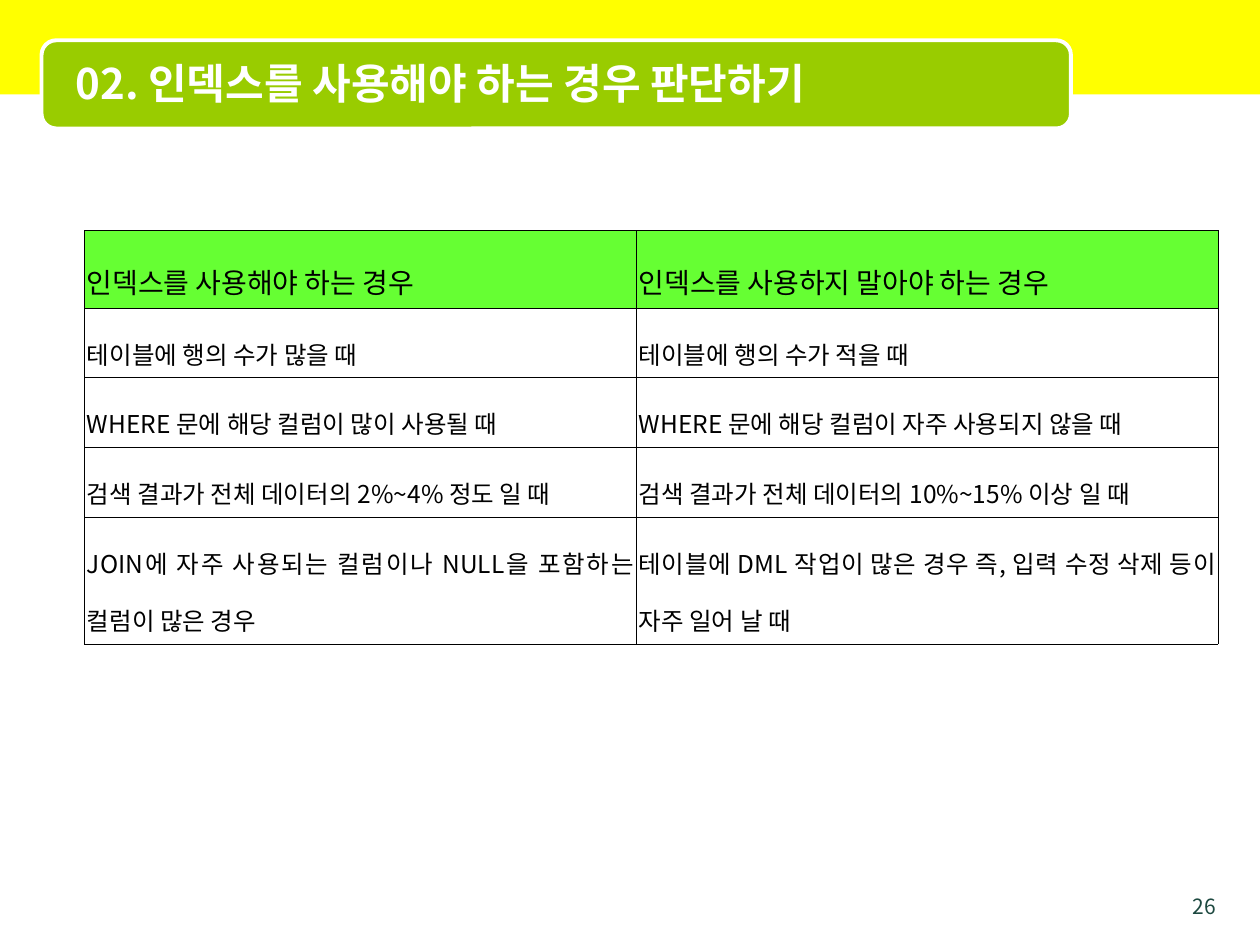
from lxml.etree import SubElement
from pptx import Presentation
from pptx.dml.color import RGBColor
from pptx.enum.shapes import MSO_SHAPE as Shape
from pptx.enum.text import MSO_ANCHOR as Anchor, MSO_AUTO_SIZE as AutoSize, PP_ALIGN as Align
from pptx.oxml.ns import qn
from pptx.util import Inches, Pt

FONT = "Noto Sans CJK KR"
COLORS = {
    "band": "FFFF00", "title_bar": "99CC00", "header": "66FF33",
    "white": "FFFFFF", "black": "000000", "page_number": "1D4940",
}
ROWS = [
    ("인덱스를 사용해야 하는 경우", "인덱스를 사용하지 말아야 하는 경우"),
    ("테이블에 행의 수가 많을 때", "테이블에 행의 수가 적을 때"),
    ("WHERE 문에 해당 컬럼이 많이 사용될 때", "WHERE 문에 해당 컬럼이 자주 사용되지 않을 때"),
    ("검색 결과가 전체 데이터의 2%~4% 정도 일 때", "검색 결과가 전체 데이터의 10%~15% 이상 일 때"),
    ("JOIN에 자주 사용되는 컬럼이나 NULL을 포함하는 컬럼이 많은 경우",
     "테이블에 DML 작업이 많은 경우 즉, 입력 수정 삭제 등이 자주 일어 날 때"),
]
COLUMN_WIDTHS = [4.38, 4.62]
ROW_HEIGHTS = [0.48, 0.42, 0.45, 0.45, 0.87]


def color(name):
    return RGBColor.from_string(COLORS[name])


def write(frame, text, size, ink="black", bold=False, align=Align.LEFT, spacing=1.0):
    """Fill a text frame with one formatted paragraph."""
    paragraph = frame.paragraphs[0]
    paragraph.alignment = align
    paragraph.line_spacing = spacing
    run = paragraph.add_run()
    run.text = text
    run.font.size = Pt(size)
    run.font.bold = bold
    run.font.color.rgb = color(ink)
    run.font.name = FONT
    SubElement(run.font._element, qn("a:ea"), typeface=FONT)


presentation = Presentation()
presentation.slide_width = Inches(10)
presentation.slide_height = Inches(7.5)
slide = presentation.slides.add_slide(presentation.slide_layouts[5])
shapes = slide.shapes

# Header band and title bar
band = shapes.add_shape(Shape.RECTANGLE, 0, 0, Inches(10.01), Inches(0.75))
title_bar = shapes.add_shape(
    Shape.ROUNDED_RECTANGLE, Inches(0.33), Inches(0.32), Inches(8.17), Inches(0.7))
for shape, fill in ((band, "band"), (title_bar, "title_bar")):
    shape.shadow.inherit = False
    shape.fill.solid()
    shape.fill.fore_color.rgb = color(fill)
band.line.fill.background()
title_bar.line.color.rgb = color("white")
title_bar.line.width = Pt(2.25)

# Page number
page_number = shapes.add_textbox(Inches(9.25), Inches(7.04), Inches(0.5), Inches(0.21))
page_number.text_frame.word_wrap = True
write(page_number.text_frame, "26", size=12, ink="page_number", align=Align.RIGHT)

# Title, brought in front of its bar
title = shapes.title
title.left, title.top = Inches(0.5), Inches(0.35)
title.width, title.height = Inches(7.92), Inches(0.62)
title.text_frame.auto_size = AutoSize.NONE
title.text_frame.vertical_anchor = Anchor.MIDDLE
write(title.text_frame, "02. 인덱스를 사용해야 하는 경우 판단하기", size=24, ink="white", bold=True)
shapes._spTree.append(title._element)

# Comparison table
table = shapes.add_table(
    len(ROWS), len(COLUMN_WIDTHS), Inches(0.67), Inches(1.83),
    Inches(sum(COLUMN_WIDTHS)), Inches(sum(ROW_HEIGHTS))).table
for column, width in zip(table.columns, COLUMN_WIDTHS):
    column.width = Inches(width)
for row, height in zip(table.rows, ROW_HEIGHTS):
    row.height = Inches(height)

for row_index, texts in enumerate(ROWS):
    is_header = row_index == 0
    for column_index, text in enumerate(texts):
        cell = table.cell(row_index, column_index)
        cell.margin_left = cell.margin_right = Inches(0.02)
        cell.margin_top = cell.margin_bottom = Inches(0.05)
        cell.vertical_anchor = Anchor.MIDDLE
        properties = cell._tc.get_or_add_tcPr()
        for side in ("a:lnL", "a:lnR", "a:lnT", "a:lnB"):
            border = SubElement(properties, qn(side), w=str(Pt(0.11)))
            border_fill = SubElement(border, qn("a:solidFill"))
            SubElement(border_fill, qn("a:srgbClr"), val=COLORS["black"])
        if is_header:
            cell.fill.solid()
            cell.fill.fore_color.rgb = color("header")
        else:
            cell.fill.background()
        write(cell.text_frame, text, size=16 if is_header else 14,
              align=Align.JUSTIFY, spacing=1.6)

presentation.save("out.pptx")
